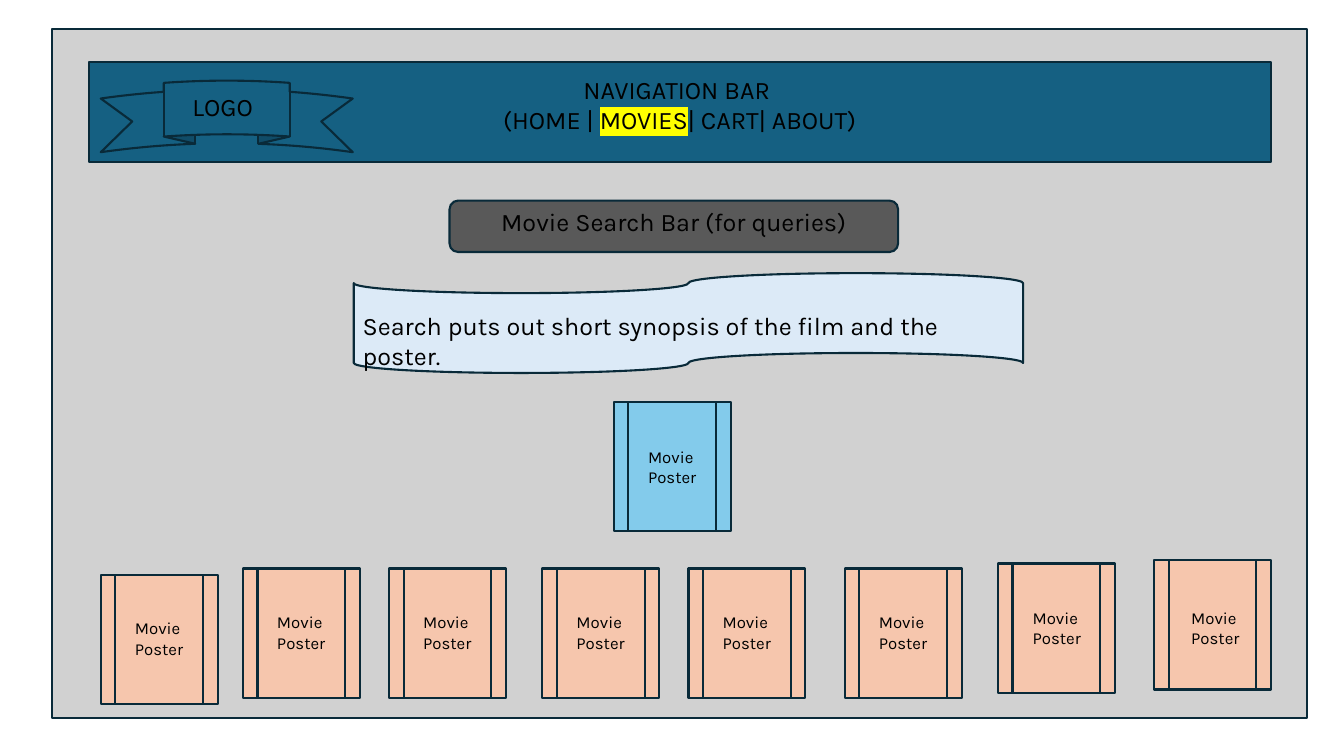
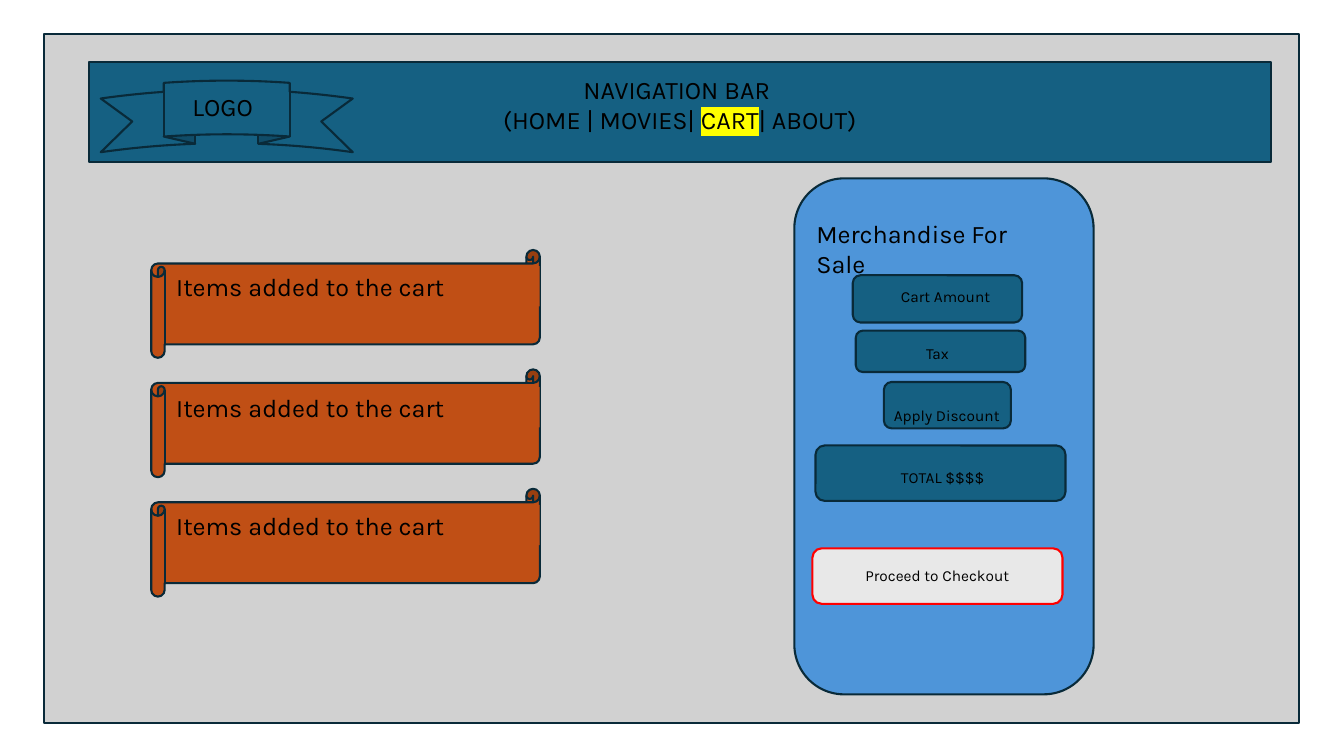
import pptx
import pptx.util
import pptx.dml.color
import pptx.enum.shapes
import pptx.enum.text
import pptx.oxml
import pptx.oxml.ns
from dataclasses import dataclass

Pt = pptx.util.Pt
SHAPE = pptx.enum.shapes.MSO_SHAPE
ALIGN = pptx.enum.text.PP_ALIGN


@dataclass(frozen=True)
class Theme:
    font: str = "Karla"
    ink: str = "000000"
    outline: str = "092A39"
    backdrop: str = "D1D1D1"
    bar: str = "156082"
    search: str = "595959"
    synopsis: str = "DCEAF7"
    featured: str = "83CBEB"
    poster: str = "F6C6AD"
    cart: str = "4E95D9"
    item: str = "C04F15"
    checkout: str = "E8E8E8"
    alert: str = "FF0000"
    highlight: str = "FFFF00"
    heading: float = 18
    label: float = 12
    small: float = 11
    stroke: float = 1.5


THEME = Theme()

# Content; every box is left, top, width, height in points
SLIDE_SIZE = (960, 540)
FRAME_SIZE = (896.4, 491.8)
NAV_LINES = ["NAVIGATION BAR ", "(HOME | MOVIES| CART| ABOUT)"]
POSTER_TEXT = "Movie Poster"
POSTER_SIZE = (83.5, 92.2)
POSTER_LABEL_SIZE = (50.4, 36)
# Poster left, top, then the label's offset inside it
FEATURED_POSTER = (438.5, 287.3, 17.3, 28.1)
POSTERS = [
    (72, 410.4, 17.3, 27.6),
    (173.5, 406.1, 17.3, 27.6),
    (277.9, 406.1, 17.3, 27.6),
    (387.4, 406.1, 17.3, 27.6),
    (491.8, 406.1, 17.3, 27.6),
    (603.4, 406.1, 17.3, 27.6),
    (712.8, 402.5, 17.7, 27.9),
    (824.4, 400.3, 19.4, 30.2),
]
ITEM_TEXT = "Items added to the cart"
ITEM_LABEL_TOPS = [190.1, 276.5, 360.7]
SCROLL_TOP, SCROLL_PITCH = 178.6, 85.3
# Text, button box, label box, alignment
CART_ROWS = [
    ("Cart Amount", (609.1, 196.6, 121, 33.8), (636.5, 201.6, 90.7, 20.9), ALIGN.LEFT),
    ("Tax", (611.3, 236.2, 121, 29.5), (609.1, 241.9, 121, 20.9), ALIGN.CENTER),
    ("Apply Discount", (631.4, 272.9, 90.7, 33.1), (631.4, 286.6, 95.8, 20.9), ALIGN.LEFT),
    ("TOTAL $$$$", (582.5, 318.2, 178.6, 39.6), (636.5, 330.5, 90.7, 20.9), ALIGN.LEFT),
]
CHECKOUT = ("Proceed to Checkout", (580.3, 391.7, 178.6, 39.6), (580.3, 401, 178.6, 20.9))


def color(value):
    return pptx.dml.color.RGBColor.from_string(value)


def add_block(shapes, kind, box, fill, line=THEME.outline):
    block = shapes.add_shape(kind, *map(Pt, box))
    block.shadow.inherit = False
    block.fill.solid()
    block.fill.fore_color.rgb = color(fill)
    block.line.color.rgb = color(line)
    block.line.width = Pt(THEME.stroke)
    return block


def add_span(para, text, size, marked=False):
    span = para.add_run()
    span.text = text
    span.font.name = THEME.font
    span.font.size = Pt(size)
    span.font.color.rgb = color(THEME.ink)
    if marked:
        qn = pptx.oxml.ns.qn
        mark = pptx.oxml.parse_xml(
            f'<a:highlight {pptx.oxml.ns.nsdecls("a")}>'
            f'<a:srgbClr val="{THEME.highlight}"/></a:highlight>')
        span.font._element.find(qn("a:solidFill")).addnext(mark)


def add_text(shapes, text, box, size=THEME.heading, align=ALIGN.LEFT, marked="", fill=None):
    """Add a text box; text is one line or a list, and marked is the highlighted word."""
    label = shapes.add_textbox(*map(Pt, box))
    if fill:
        label.fill.solid()
        label.fill.fore_color.rgb = color(fill)
    frame = label.text_frame
    frame.word_wrap = True
    frame.auto_size = pptx.enum.text.MSO_AUTO_SIZE.SHAPE_TO_FIT_TEXT
    for index, line in enumerate([text] if isinstance(text, str) else text):
        para = frame.paragraphs[0] if index == 0 else frame.add_paragraph()
        para.alignment = align
        parts = line.partition(marked) if marked else (line,)
        for part in filter(None, parts):
            add_span(para, part, size, marked=part == marked)
    return label


def add_page(deck, frame_origin, active):
    """Add a page with the backdrop, navigation bar and ribbon."""
    page = deck.slides.add_slide(deck.slide_layouts[6])
    shapes = page.shapes
    add_block(shapes, SHAPE.RECTANGLE, (*frame_origin, *FRAME_SIZE), THEME.backdrop)
    add_block(shapes, SHAPE.RECTANGLE, (63.4, 44.6, 844.6, 71.3), THEME.bar)
    add_text(shapes, NAV_LINES, (108.7, 49.7, 753.8, 51.1), align=ALIGN.CENTER, marked=active)
    add_block(shapes, SHAPE.CURVED_UP_RIBBON, (72, 57.6, 180, 51.1), THEME.bar)
    add_text(shapes, "LOGO", (130.3, 61.9, 81.4, 28.8))
    return page


def add_poster(page, placement, fill):
    left, top, label_x, label_y = placement
    shapes = page.shapes.add_group_shape().shapes
    add_block(shapes, SHAPE.FLOWCHART_PREDEFINED_PROCESS, (left, top, *POSTER_SIZE), fill)
    add_text(shapes, POSTER_TEXT, (left + label_x, top + label_y, *POSTER_LABEL_SIZE),
             size=THEME.label)


def build_movies(deck):
    page = add_page(deck, (37.4, 20.9), "MOVIES")
    shapes = page.shapes

    # Posters
    add_poster(page, FEATURED_POSTER, THEME.featured)
    for placement in POSTERS:
        add_poster(page, placement, THEME.poster)

    # Search bar and its result
    add_block(shapes, SHAPE.ROUNDED_RECTANGLE, (321.1, 143.3, 320.4, 36.7), THEME.search)
    add_text(shapes, "Movie Search Bar (for queries)", (321.1, 144, 320.4, 28.8),
             align=ALIGN.CENTER)
    add_block(shapes, SHAPE.FLOWCHART_PUNCHED_TAPE, (252.7, 195.1, 478.1, 71.3), THEME.synopsis)
    add_text(shapes, "Search puts out short synopsis of the film and the poster.",
             (252, 218.2, 478.1, 28.8))


def build_cart(deck):
    page = add_page(deck, (31.7, 24.5), "CART")
    shapes = page.shapes

    # Items in the cart
    items = shapes.add_group_shape().shapes
    for index, label_top in enumerate(ITEM_LABEL_TOPS):
        scroll_top = SCROLL_TOP + index * SCROLL_PITCH
        add_block(items, SHAPE.HORIZONTAL_SCROLL, (108, scroll_top, 277.6, 77), THEME.item)
        add_text(items, ITEM_TEXT, (118.8, label_top, 266.6, 28.8), fill=THEME.item)

    # Order summary
    add_block(shapes, SHAPE.ROUNDED_RECTANGLE, (567.4, 127.4, 213.8, 368.6), THEME.cart)
    add_text(shapes, "Merchandise For Sale", (576, 152.6, 187.9, 28.8))
    for text, button, label, align in CART_ROWS:
        add_block(shapes, SHAPE.ROUNDED_RECTANGLE, button, THEME.bar)
        add_text(shapes, text, label, size=THEME.small, align=align)

    # Checkout button
    text, button, label = CHECKOUT
    add_block(shapes, SHAPE.ROUNDED_RECTANGLE, button, THEME.checkout, line=THEME.alert)
    add_text(shapes, text, label, size=THEME.small, align=ALIGN.CENTER)


def main():
    deck = pptx.Presentation()
    deck.slide_width, deck.slide_height = map(Pt, SLIDE_SIZE)
    build_movies(deck)
    build_cart(deck)
    deck.save("out.pptx")


if __name__ == "__main__":
    main()
